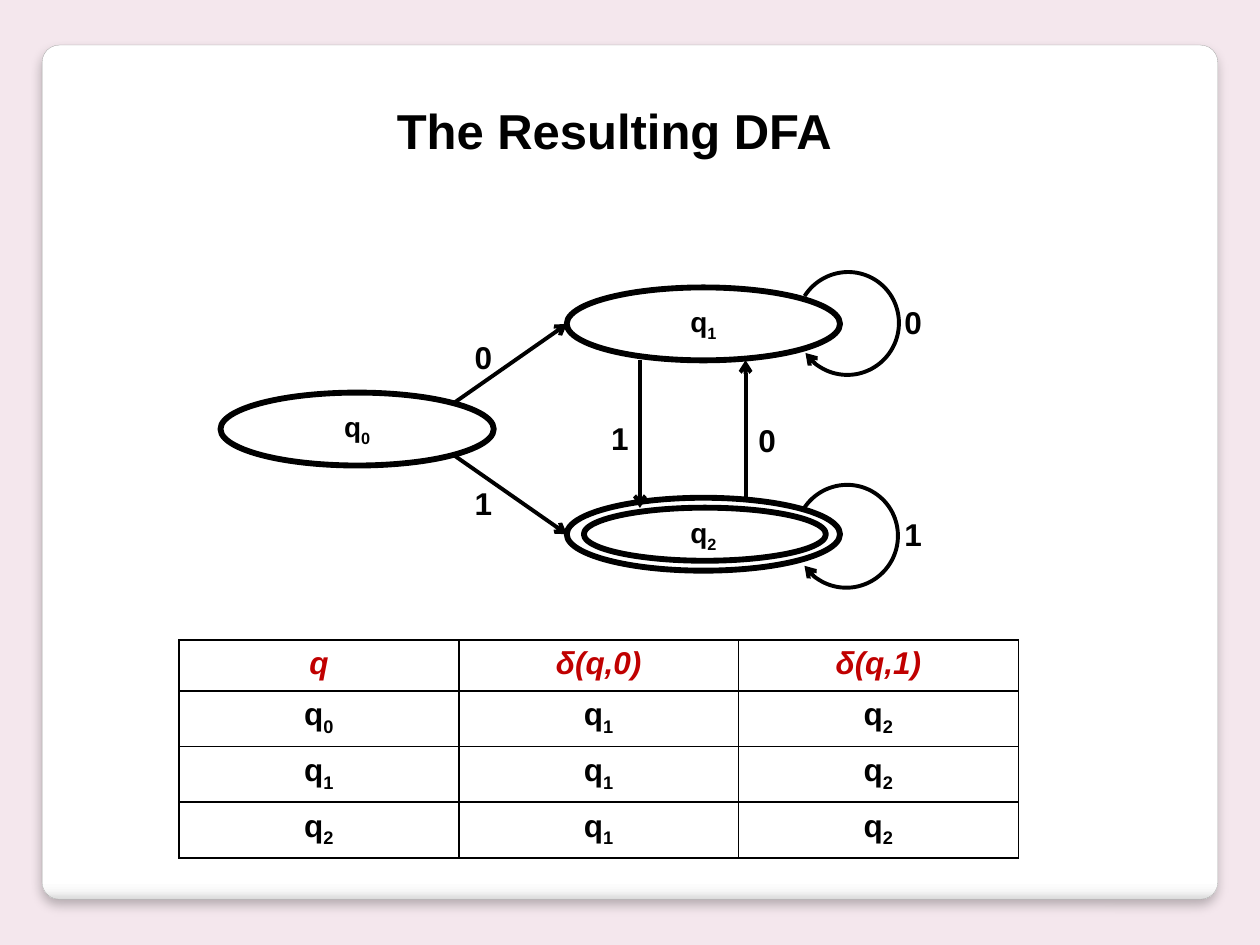
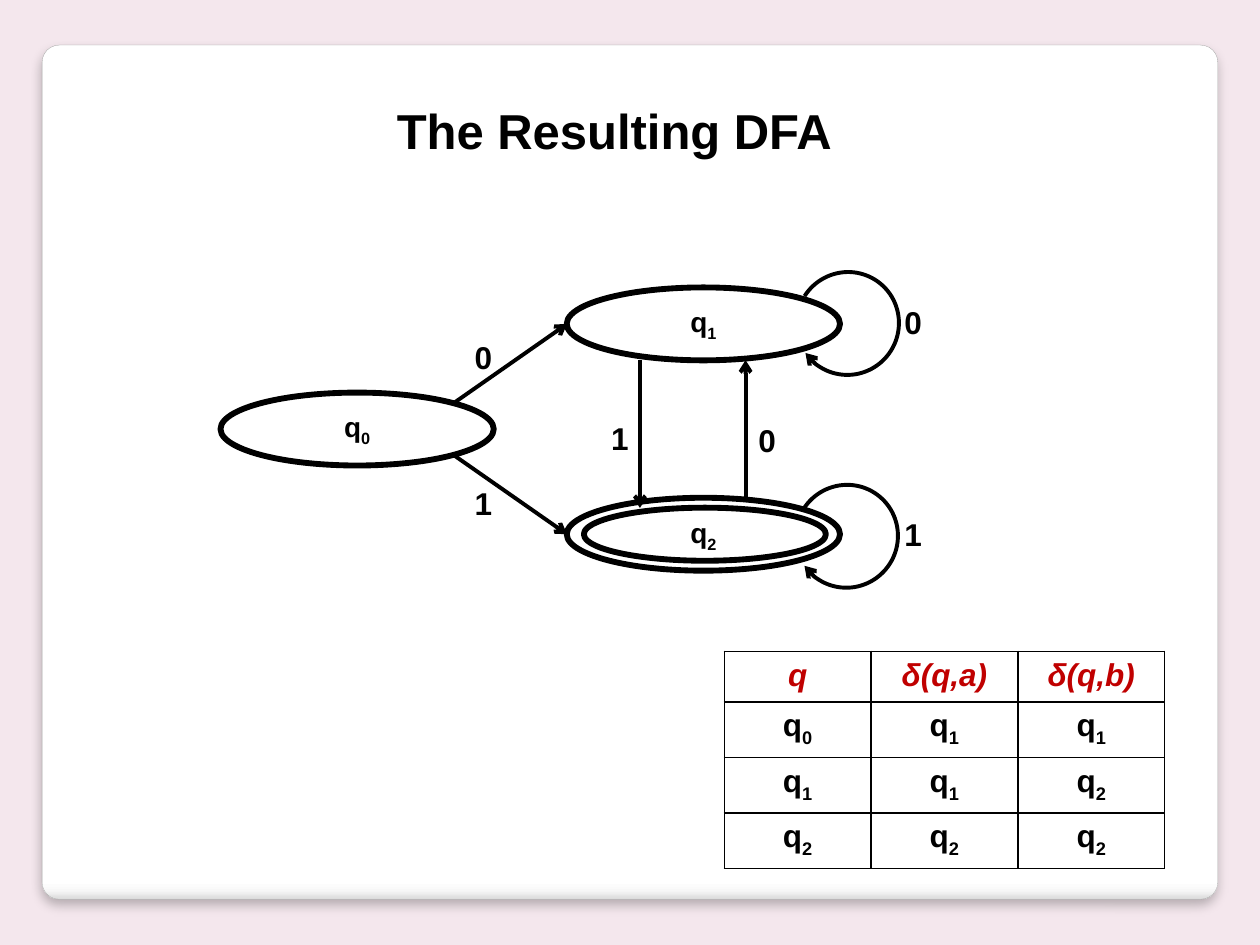
"""Build two slides that show a DFA graph above its transition table."""
import copy
from dataclasses import dataclass

import pptx
import pptx.dml.color
import pptx.enum.shapes
import pptx.enum.text
import pptx.oxml
import pptx.oxml.ns
import pptx.util

Cm, Pt = pptx.util.Cm, pptx.util.Pt
Rgb = pptx.dml.color.RGBColor.from_string
Kind = pptx.enum.shapes.MSO_SHAPE
Align = pptx.enum.text.PP_ALIGN
Anchor = pptx.enum.text.MSO_ANCHOR
NS = pptx.oxml.ns.nsdecls("a")


@dataclass(frozen=True)
class Theme:
    font: str = "Arial"
    ink: str = "000000"
    page: str = "F4E7ED"
    card: str = "FFFFFF"
    edge: str = "A4A4A4"
    head: str = "C00000"
    fade: tuple = ((0, "FFFFFF"), (0.98, "FFFFFF"), (0.99, "F7F7F7"), (1, "DADADA"))
    title: float = 28
    body: float = 18
    node: float = 16
    ring: float = 3.35
    wire: float = 2.25


def add_xml(parent, xml):
    parent.append(pptx.oxml.parse_xml(xml))


def write(frame, text, *, font, size, color, italic=False, align=Align.LEFT):
    line = frame.paragraphs[0]
    line.alignment = align
    for i, part in enumerate(text.split("_")):
        run = line.add_run()
        run.text = part
        run.font.name, run.font.size = font, Pt(size)
        run.font.bold, run.font.italic = True, italic
        run.font.color.rgb = Rgb(color)
        if i:
            run.font._element.set("baseline", "-25000")


class Deck:
    def __init__(self, theme):
        self.theme = theme
        self.file = pptx.Presentation()
        self.file.slide_width, self.file.slide_height = Cm(25.4), Cm(19.05)
        fill = self.file.slide_master.background.fill
        fill.solid()
        fill.fore_color.rgb = Rgb(theme.page)
        self.slide = None

    def page(self, title):
        self.slide = self.file.slides.add_slide(self.file.slide_layouts[6])
        self.card(0.85, 0.91, 23.7, 17.22)
        self.label(title, 5.5, 1.9, 13.77, 1.45, size=self.theme.title, align=Align.CENTER)

    def text(self, frame, text, **form):
        base = dict(font=self.theme.font, size=self.theme.body, color=self.theme.ink)
        write(frame, text, **(base | form))

    def stroke(self, item, width, color=None, tail=False):
        item.line.color.rgb = Rgb(color or self.theme.ink)
        item.line.width = Pt(width)
        if tail:
            add_xml(item._element.spPr.get_or_add_ln(), f'<a:tailEnd {NS} type="arrow"/>')

    def shape(self, kind, x, y, w, h):
        item = self.slide.shapes.add_shape(kind, Cm(x), Cm(y), Cm(w), Cm(h))
        item.shadow.inherit = False
        item.fill.background()
        return item

    def card(self, x, y, w, h):
        item = self.shape(Kind.ROUNDED_RECTANGLE, x, y, w, h)
        item.adjustments[0] = 0.02
        self.stroke(item, 0.16, self.theme.edge)
        item.fill.gradient()
        item.fill.gradient_angle = 270
        props = item._element.spPr
        stops = props.find(".//" + pptx.oxml.ns.qn("a:gsLst"))
        while len(stops) < len(self.theme.fade):
            stops.append(copy.deepcopy(stops[0]))
        for stop, (place, color) in zip(item.fill.gradient_stops, self.theme.fade):
            stop.position = place
            stop.color.rgb = Rgb(color)
        add_xml(
            props.find(pptx.oxml.ns.qn("a:effectLst")),
            f'<a:outerShdw {NS} blurRad="{Pt(6)}" dist="{Pt(4)}" dir="5400000" '
            f'rotWithShape="0"><a:srgbClr val="{self.theme.ink}">'
            '<a:alpha val="25000"/></a:srgbClr></a:outerShdw>',
        )

    def state(self, text, x, y, w=5.51, h=1.47):
        item = self.shape(Kind.OVAL, x - w / 2, y - h / 2, w, h)
        self.stroke(item, self.theme.ring)
        if text:
            item.text_frame.vertical_anchor = Anchor.MIDDLE
            self.text(item.text_frame, text, size=self.theme.node, align=Align.CENTER)

    def arrow(self, *ends):
        line = pptx.enum.shapes.MSO_CONNECTOR.STRAIGHT
        item = self.slide.shapes.add_connector(line, *map(Cm, ends))
        self.stroke(item, self.theme.wire, tail=True)
        add_xml(item._element.spPr, f"<a:effectLst {NS}/>")

    def loop(self, x, y):
        item = self.shape(Kind.ARC, x, y, 2.08, 2.06)
        item.adjustments[0], item.adjustments[1] = 162, 121.59
        item.rotation = 302.4
        self.stroke(item, self.theme.wire, tail=True)

    def label(self, text, x, y, w=1.07, h=1.02, **form):
        frame = self.slide.shapes.add_textbox(Cm(x), Cm(y), Cm(w), Cm(h)).text_frame
        frame.word_wrap = True
        frame.auto_size = pptx.enum.text.MSO_AUTO_SIZE.SHAPE_TO_FIT_TEXT
        self.text(frame, text, **form)

    def table(self, rows, x, y, width, top, high):
        count = len(rows[0])
        tall = top + high * (len(rows) - 1)
        grid = self.slide.shapes.add_table(
            len(rows), count, Cm(x), Cm(y), Cm(width * count), Cm(tall)
        ).table
        grid.first_row = grid.horz_banding = False
        for i, row in enumerate(rows):
            grid.rows[i].height = Cm(high if i else top)
            form = {} if i else dict(color=self.theme.head, italic=True)
            for j, text in enumerate(row):
                self.cell(grid.cell(i, j), text, **form)

    def cell(self, cell, text, **form):
        props = cell._tc.get_or_add_tcPr()
        for side in "LRTB":
            add_xml(
                props,
                f'<a:ln{side} {NS} w="{Pt(1)}"><a:solidFill>'
                f'<a:srgbClr val="{self.theme.ink}"/></a:solidFill></a:ln{side}>',
            )
        cell.fill.solid()
        cell.fill.fore_color.rgb = Rgb(self.theme.card)
        self.text(cell.text_frame, text, align=Align.CENTER, **form)


def graph(deck):
    left, right, mid, step = 7.2, 14.18, 8.65, 2.12
    deck.state("q_0", left, mid)
    deck.state("q_1", right, mid - step)
    deck.state("q_2", right, mid + step)
    deck.state("", right + 0.03, mid + step, 4.88, 1.07)
    for sign in (-1, 1):
        deck.arrow(9.14, mid + sign * 0.52, 11.43, mid + sign * step)
    deck.arrow(12.9, 7.26, 12.9, 10.24)
    deck.arrow(15.03, 10.03, 15.03, 7.26)
    deck.loop(16.05, 5.49)
    deck.loop(16.03, 9.78)
    marks = {
        "0": ((9.32, 6.68), (15.04, 8.36), (17.98, 5.99)),
        "1": ((9.32, 9.63), (12.07, 8.33), (17.98, 10.26)),
    }
    for text, spots in marks.items():
        for spot in spots:
            deck.label(text, *spot)


def main():
    deck = Deck(Theme())
    wide = [
        ("q", "δ(q,0)", "δ(q,1)"),
        ("q_0", "q_1", "q_2"),
        ("q_1", "q_1", "q_2"),
        ("q_2", "q_1", "q_2"),
    ]
    small = [
        ("q", "δ(q,a)", "δ(q,b)"),
        ("q_0", "q_1", "q_1"),
        ("q_1", "q_1", "q_2"),
        ("q_2", "q_2", "q_2"),
    ]
    for rows, place in (
        (wide, (3.61, 12.9, 5.64, 1.03, 1.12)),
        (small, (14.6, 13.13, 2.96, 0.99, 1.07)),
    ):
        deck.page("The Resulting DFA")
        graph(deck)
        deck.table(rows, *place)
    deck.file.save("out.pptx")


if __name__ == "__main__":
    main()
